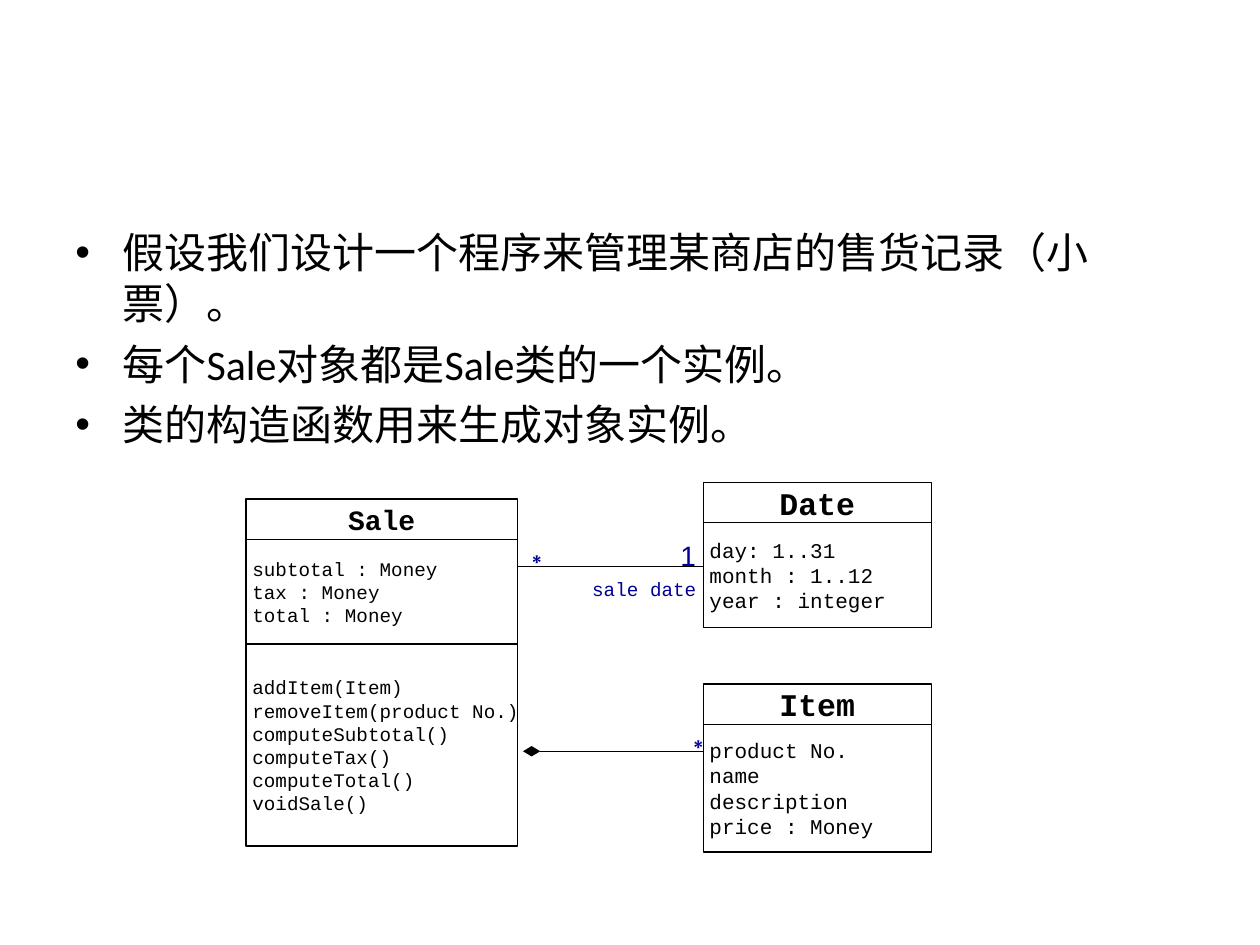
from lxml import etree
from pptx import Presentation
from pptx.dml.color import RGBColor
from pptx.enum.shapes import MSO_CONNECTOR, MSO_SHAPE
from pptx.enum.text import MSO_ANCHOR, MSO_AUTO_SIZE, PP_ALIGN
from pptx.oxml.ns import qn
from pptx.util import Pt

RECTANGLE = MSO_SHAPE.RECTANGLE
STRAIGHT = MSO_CONNECTOR.STRAIGHT
MIDDLE = MSO_ANCHOR.MIDDLE
FIT_SHAPE = MSO_AUTO_SIZE.SHAPE_TO_FIT_TEXT
LEFT, CENTER = PP_ALIGN.LEFT, PP_ALIGN.CENTER

BLACK, BLUE = "000000", "000099"
CODE_FONT = "Courier New"
HEADER_HEIGHT = 23

BULLETS = [
    "假设我们设计一个程序来管理某商店的售货记录（小票）。",
    "每个Sale对象都是Sale类的一个实例。",
    "类的构造函数用来生成对象实例。",
]

# left, top, width, title size, body size, title, [(height, lines)]
CLASSES = [
    (140.6, 285.2, 155, 16, 11, "Sale", [
        (59.8, ["subtotal : Money", "tax : Money", "total : Money"]),
        (115.4, ["addItem(Item)", "removeItem(product No.)",
                 "computeSubtotal()", "computeTax()", "computeTotal()",
                 "voidSale()"]),
    ]),
    (401.8, 275.8, 130.3, 18, 12, "Date", [
        (59.8, ["day: 1..31", "month : 1..12", "year : integer"]),
    ]),
    (401.8, 390.9, 130.3, 18, 12, "Item", [
        (73, ["product No.", "name", "description", "price : Money"]),
    ]),
]

# left, top, width, height, text, size, font
LABELS = [
    (334.8, 327.6, 67, 17.3, "sale date", 11, CODE_FONT),
    (385.2, 305.7, 15.1, 23.8, "1", 16, "Arial"),
    (295.2, 305.7, 15.1, 23.8, "∗", 16, "Arial"),
    (387.4, 411.6, 15.1, 23.8, "∗", 16, "Arial"),
]


def color(value):
    return RGBColor.from_string(value)


def set_all(target, values):
    for name, value in values.items():
        setattr(target, name, value)


def write_lines(frame, lines, font, size, text_color, bold=False, align=LEFT):
    """Fill the frame with one paragraph per line."""
    for index, line in enumerate(lines):
        paragraph = frame.add_paragraph() if index else frame.paragraphs[0]
        paragraph.alignment = align
        run = paragraph.add_run()
        run.text = line
        set_all(run.font, {"name": font, "size": Pt(size), "bold": bold})
        run.font.color.rgb = color(text_color)


def set_margins(frame, horizontal, vertical):
    set_all(frame, {
        "margin_left": Pt(horizontal), "margin_right": Pt(horizontal),
        "margin_top": Pt(vertical), "margin_bottom": Pt(vertical),
    })


def add_bullets(slide):
    frame = slide.shapes.add_textbox(Pt(36), Pt(126), Pt(648), Pt(356.4)).text_frame
    frame.word_wrap = True
    write_lines(frame, BULLETS, "Calibri", 24, BLACK)
    for paragraph in frame.paragraphs:
        paragraph.space_before = Pt(6)
        properties = paragraph._p.get_or_add_pPr()
        properties.set("marL", str(Pt(27)))
        properties.set("indent", str(-Pt(27)))
        properties.set("hangingPunct", "0")
        etree.SubElement(properties, qn("a:buFont")).set("typeface", "Arial")
        etree.SubElement(properties, qn("a:buChar")).set("char", "•")


def add_compartment(slide, box, lines, size, is_title=False):
    shape = slide.shapes.add_shape(RECTANGLE, *map(Pt, box))
    shape.shadow.inherit = False
    shape.fill.background()
    shape.line.color.rgb = color(BLACK)
    shape.line.width = Pt(0.75)
    frame = shape.text_frame
    set_all(frame, {"word_wrap": False, "vertical_anchor": MIDDLE})
    set_margins(frame, 7.2 if is_title else 3.6, 3.6)
    write_lines(frame, lines, CODE_FONT, size, BLACK, is_title,
                CENTER if is_title else LEFT)


def add_class(slide, left, top, width, title_size, body_size, title, sections):
    """Stack a title and its compartments into a class box."""
    add_compartment(slide, (left, top, width, HEADER_HEIGHT), [title],
                    title_size, is_title=True)
    top += HEADER_HEIGHT
    for height, lines in sections:
        add_compartment(slide, (left, top, width, height), lines, body_size)
        top += height


def add_association(slide, start, end, y, head=None):
    connector = slide.shapes.add_connector(STRAIGHT, Pt(start), Pt(y), Pt(end), Pt(y))
    connector.line.color.rgb = color(BLACK)
    connector.line.width = Pt(0.75)
    if head:
        line = connector.line._get_or_add_ln()
        head_end = etree.SubElement(line, qn("a:headEnd"))
        head_end.set("type", head)
        head_end.set("len", "lg")
    etree.SubElement(connector._element.spPr, qn("a:effectLst"))


def add_label(slide, left, top, width, height, text, size, font):
    box = slide.shapes.add_textbox(Pt(left), Pt(top), Pt(width), Pt(height))
    frame = box.text_frame
    set_all(frame, {"word_wrap": False, "auto_size": FIT_SHAPE})
    set_margins(frame, 3.6, 2.16)
    write_lines(frame, [text], font, size, BLUE)


def main():
    presentation = Presentation()
    set_all(presentation, {"slide_width": Pt(720), "slide_height": Pt(540)})
    slide = presentation.slides.add_slide(presentation.slide_layouts[6])
    add_bullets(slide)
    for class_box in CLASSES:
        add_class(slide, *class_box)
    add_association(slide, 295.9, 401.8, 323.6)
    add_association(slide, 303.8, 401.8, 429.3, head="diamond")
    for label in LABELS:
        add_label(slide, *label)
    presentation.save("out.pptx")


if __name__ == "__main__":
    main()
